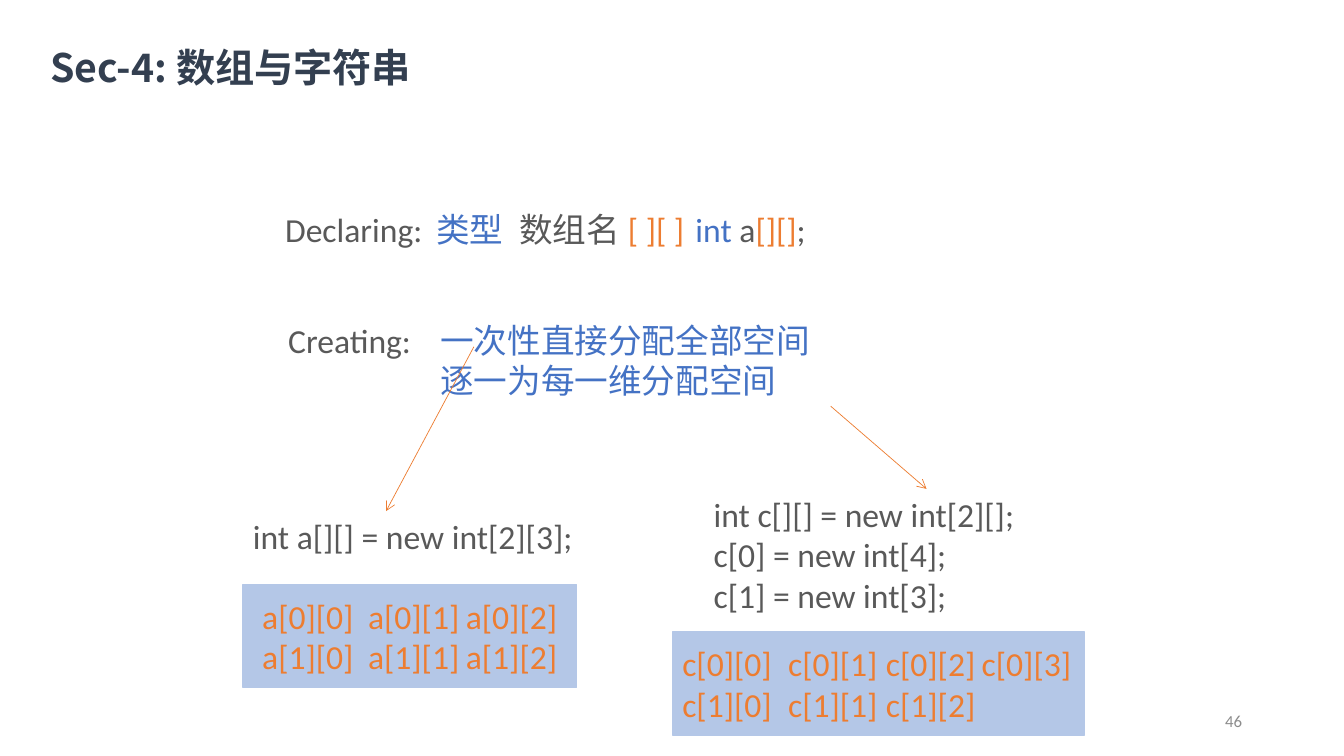
"""Build the slide on declaring and creating two-dimensional arrays."""
from lxml.etree import SubElement
from pptx import Presentation
from pptx.dml.color import RGBColor
from pptx.enum.shapes import MSO_CONNECTOR as Connector, MSO_SHAPE as Shape
from pptx.enum.text import MSO_ANCHOR as Anchor, PP_ALIGN as Align
from pptx.oxml.ns import qn
from pptx.util import Inches, Pt

GRAY, BLUE, ORANGE, PALE = "595959", "4472C4", "ED7D31", "B4C7E7"

deck = Presentation()
deck.slide_width, deck.slide_height = Inches(13.33), Inches(7.5)
column, row = deck.slide_width / 100, deck.slide_height / 100
page = deck.slides.add_slide(deck.slide_layouts[5])


def color(value):
    return RGBColor.from_string(value)


def write(frame, lines, stops=(), size=24, face="Calibri"):
    frame.word_wrap = True
    for index, spans in enumerate(lines):
        para = frame.add_paragraph() if index else frame.paragraphs[0]
        para.alignment = Align.LEFT
        if stops:
            tabs = SubElement(para._p.get_or_add_pPr(), qn("a:tabLst"))
            for stop in stops:
                SubElement(tabs, qn("a:tab"), pos=str(Inches(stop)), algn="l")
        para.font.size, para.font.name = Pt(size), face
        if len(spans) == 1:
            para.font.color.rgb = color(spans[0][1])
        for text, shade in spans:
            span = para.add_run()
            span.text = text
            if len(spans) > 1:
                span.font.color.rgb = color(shade)


title = page.shapes.title
title.left, title.top = int(3.75 * column), int(5.6 * row)
title.width, title.height = int(48.6 * column), int(6.4 * row)
frame = title.text_frame
frame.margin_left = frame.margin_right = frame.margin_bottom = 0
frame.margin_top = Inches(0.01)
frame.vertical_anchor = Anchor.TOP
write(frame, [[("Sec-4: 数组与字符串", "333F50")]], size=28, face="Noto Sans CJK SC")
frame.paragraphs[0].font.bold = True

declaring = [[("Declaring:\t", GRAY), ("类型\t", BLUE), ("数组名\t", GRAY),
              ("[ ][ ]\t", ORANGE), ("int", BLUE), (" a", GRAY),
              ("[][]", ORANGE), (";", GRAY)]]
creating = [[("Creating:\t", GRAY), ("一次性直接分配全部空间", BLUE)],
            [("\t逐一为每一维分配空间", BLUE)]]
at_once = [[("int a[][] = new int[2][3];", GRAY)]]
by_row = [[(code, GRAY)] for code in
          ("int c[][] = new int[2][];", "c[0] = new int[4];", "c[1] = new int[3];")]
for left, top, width, height, lines, stops in (
        (20.48, 26.93, 56.1, 6.67, declaring, (1.5, 2.32, 3.4, 4.07)),
        (20.7, 41.6, 56.1, 12.13, creating, (1.51,)),
        (18.08, 67.6, 32.48, 6.67, at_once, ()),
        (52.36, 64.67, 26.55, 17.47, by_row, ())):
    box = page.shapes.add_textbox(int(left * column), int(top * row),
                                  int(width * column), int(height * row))
    write(box.text_frame, lines, stops)

for array, lengths, left, top, width, inset in (
        ("a", (3, 3), 18.08, 77.33, 24.83, 0.19),
        ("c", (4, 3), 50.03, 83.6, 30.68, 0.1)):
    cells = page.shapes.add_shape(Shape.RECTANGLE, int(left * column), int(top * row),
                                  int(width * column), int(13.6 * row))
    cells.shadow.inherit = False
    cells.fill.solid()
    cells.fill.fore_color.rgb = cells.line.color.rgb = color(PALE)
    cells.line.width = Pt(1)
    cells.text_frame.margin_left = Inches(inset)
    cells.text_frame.vertical_anchor = Anchor.MIDDLE
    write(cells.text_frame,
          [[("\t".join(f"{array}[{i}][{j}]" for j in range(length)), ORANGE)]
           for i, length in enumerate(lengths)], (1.05, 2.02, 2.97))

for x1, y1, x2, y2 in ((35.26, 45.87, 28.73, 67.6), (61.81, 53.73, 68.94, 64.67)):
    arrow = page.shapes.add_connector(Connector.STRAIGHT, int(x1 * column), int(y1 * row),
                                      int(x2 * column), int(y2 * row))
    arrow.line.color.rgb, arrow.line.width = color(ORANGE), Pt(0.5)
    SubElement(arrow.line._get_or_add_ln(), qn("a:tailEnd"), type="arrow")
    SubElement(arrow._element.spPr, qn("a:effectLst"))

number = page.shapes.add_textbox(int(70.66 * column), int(92.67 * row),
                                 int(22.5 * column), int(5.33 * row))
number.text_frame.vertical_anchor = Anchor.MIDDLE
write(number.text_frame, [[("46", "8C8C8C")]], size=12)
number.text_frame.paragraphs[0].alignment = Align.RIGHT

deck.save("out.pptx")
